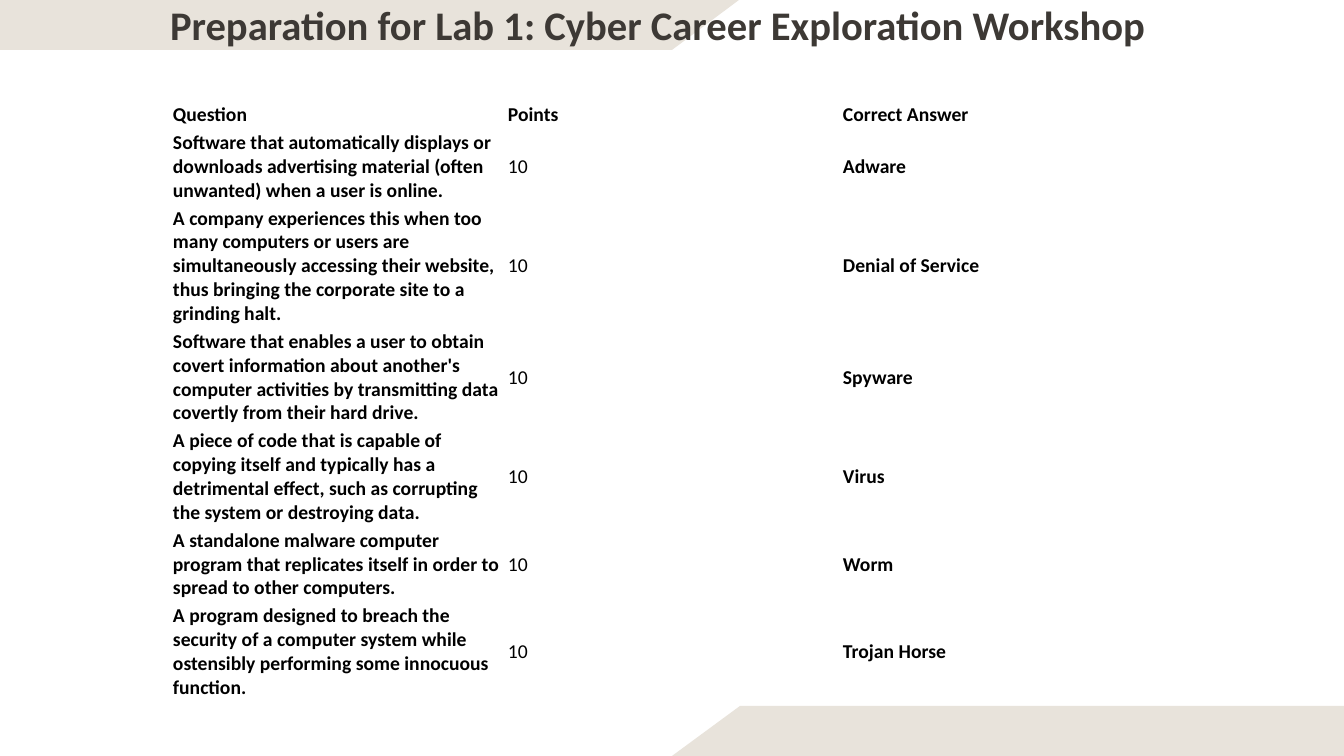
from dataclasses import dataclass

from pptx import Presentation
from pptx.dml.color import RGBColor
from pptx.enum.text import MSO_ANCHOR, MSO_AUTO_SIZE, PP_ALIGN
from pptx.util import Pt

MIDDLE, TOP = MSO_ANCHOR.MIDDLE, MSO_ANCHOR.TOP
NO_FIT = MSO_AUTO_SIZE.NONE
LEFT = PP_ALIGN.LEFT
TITLE_ONLY = 5

TITLE = "Preparation for Lab 1: Cyber Career Exploration Workshop"
HEADER = ("Question", "Points", "Correct Answer")
QUESTIONS = [
    ("Software that automatically displays or downloads advertising material (often unwanted) when a user is online.",
     "10", "Adware"),
    ("A company experiences this when too many computers or users are simultaneously accessing their website, "
     "thus bringing the corporate site to a grinding halt.", "10", "Denial of Service"),
    ("Software that enables a user to obtain covert information about another's computer activities by "
     "transmitting data covertly from their hard drive.", "10", "Spyware"),
    ("A piece of code that is capable of copying itself and typically has a detrimental effect, such as "
     "corrupting the system or destroying data.", "10", "Virus"),
    ("A standalone malware computer program that replicates itself in order to spread to other computers.",
     "10", "Worm"),
    ("A program designed to breach the security of a computer system while ostensibly performing some "
     "innocuous function.", "10", "Trojan Horse"),
]

SLIDE_SIZE = (1344, 756)
BANDS = [
    [(739, 0), (0, 0), (0, 50), (672, 50)],
    [(1344, 706), (740, 706), (672, 756), (1344, 756)],
]
TITLE_BOX = (169, -2, 1005, 50)
TABLE_LEFT, TABLE_TOP = 169, 101
COLUMN_WIDTH = 335
ROW_HEIGHTS = [27, 75, 121, 98, 98, 75, 98]


@dataclass(frozen=True)
class Theme:
    font: str = "Calibri"
    band: RGBColor = RGBColor(0xE8, 0xE3, 0xDB)
    title: RGBColor = RGBColor(0x3D, 0x39, 0x35)
    text: RGBColor = RGBColor(0, 0, 0)
    title_size: int = 29
    text_size: int = 14


THEME = Theme()


def px(length):
    return round(length * 914400 / 100.8)


def style(para, size, color, bold):
    para.alignment = LEFT
    for span in para.runs:
        span.font.name = THEME.font
        span.font.size = Pt(size)
        span.font.bold = bold
        span.font.color.rgb = color


def set_margins(box, left, top, right, bottom):
    box.margin_left, box.margin_top = px(left), px(top)
    box.margin_right, box.margin_bottom = px(right), px(bottom)


def add_bands(page):
    for index, points in enumerate(BANDS):
        builder = page.shapes.build_freeform(*points[0], scale=px(1000) / 1000)
        builder.add_line_segments(points[1:], close=True)
        band = builder.convert_to_shape()
        band.shadow.inherit = False
        band.fill.solid()
        band.fill.fore_color.rgb = THEME.band
        band.line.fill.background()
        page.shapes._spTree.insert(2 + index, band._element)


def add_title(page):
    title = page.shapes.title
    title.left, title.top, title.width, title.height = map(px, TITLE_BOX)
    frame = title.text_frame
    frame.text = TITLE
    frame.word_wrap = True
    frame.auto_size = NO_FIT
    frame.vertical_anchor = TOP
    set_margins(frame, 1, 2, 0, 0)
    style(frame.paragraphs[0], THEME.title_size, THEME.title, True)


def add_questions(page):
    rows = [HEADER, *QUESTIONS]
    columns = len(HEADER)
    table = page.shapes.add_table(
        len(rows), columns, px(TABLE_LEFT), px(TABLE_TOP),
        px(COLUMN_WIDTH * columns), px(sum(ROW_HEIGHTS))).table
    table.first_row = False
    table.horz_banding = False
    for column in table.columns:
        column.width = px(COLUMN_WIDTH)
    for row, height in zip(table.rows, ROW_HEIGHTS):
        row.height = px(height)
    for row_index, values in enumerate(rows):
        for column_index, value in enumerate(values):
            cell = table.cell(row_index, column_index)
            cell.text = value
            cell.fill.background()
            cell.vertical_anchor = MIDDLE
            set_margins(cell, 4, 2, 4, 2)
            style(cell.text_frame.paragraphs[0], THEME.text_size, THEME.text, not value.isdigit())


def main():
    deck = Presentation()
    deck.slide_width, deck.slide_height = map(px, SLIDE_SIZE)
    page = deck.slides.add_slide(deck.slide_layouts[TITLE_ONLY])
    add_bands(page)
    add_title(page)
    add_questions(page)
    deck.save("out.pptx")


if __name__ == "__main__":
    main()
